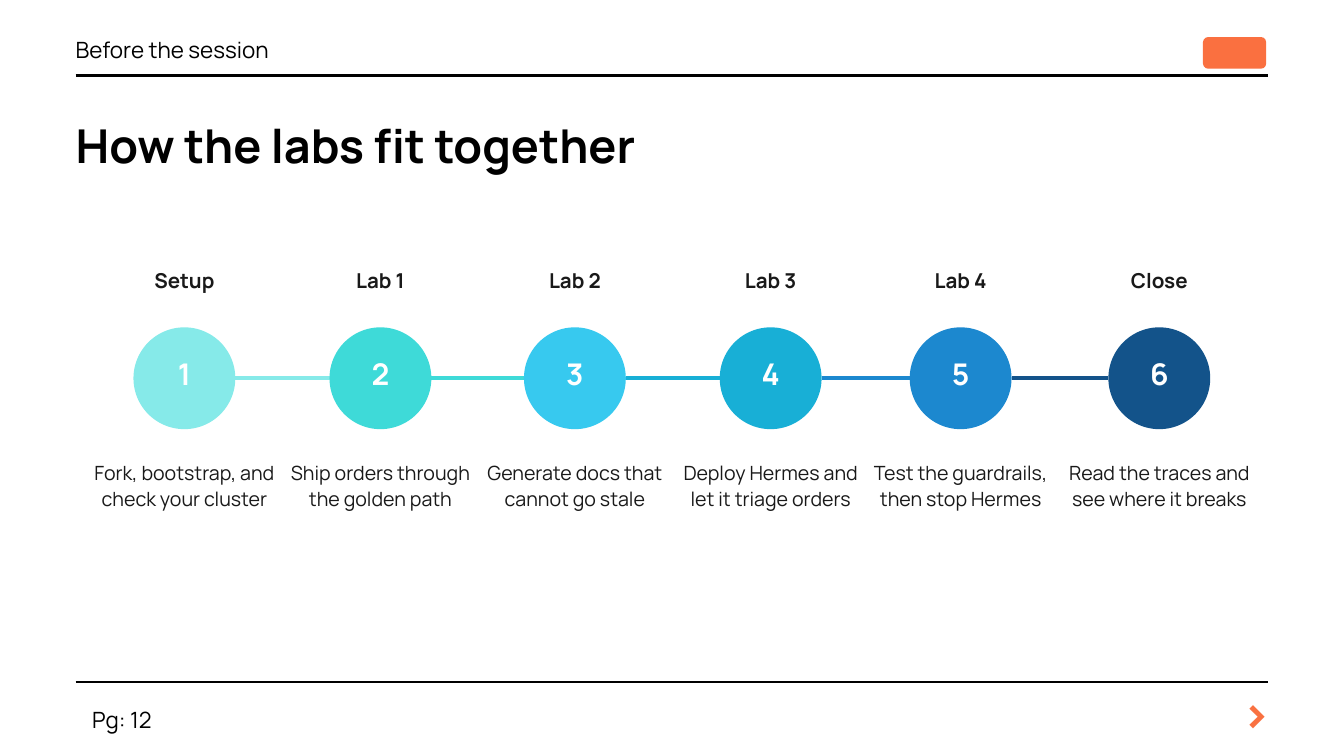
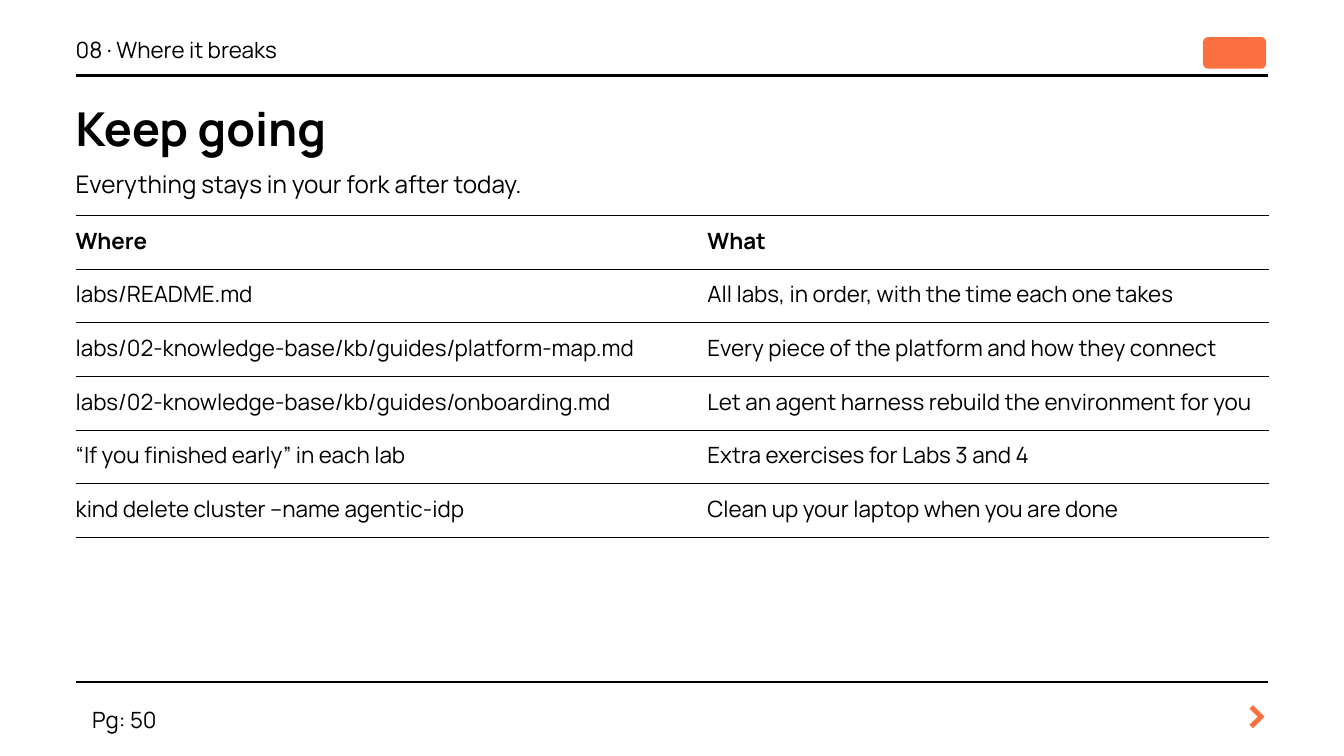
from dataclasses import dataclass
from itertools import pairwise

from lxml.etree import SubElement
from pptx import Presentation
from pptx.dml.color import RGBColor
from pptx.enum.shapes import MSO_CONNECTOR, MSO_SHAPE
from pptx.enum.text import MSO_ANCHOR as Anchor, MSO_AUTO_SIZE as AutoSize, PP_ALIGN as Align
from pptx.oxml import parse_xml
from pptx.oxml.ns import nsdecls, qn
from pptx.util import Cm, Pt

# Content
LABS = {
    "section": "Before the session",
    "title": "How the labs fit together",
    "page": "Pg: 12",
}
# heading, caption, circle colour, centre in cm
STEPS = [
    ("Setup", "Fork, bootstrap, and check your cluster", "86EAE9", 6.97),
    ("Lab 1", "Ship orders through the golden path", "3EDAD8", 14.38),
    ("Lab 2", "Generate docs that cannot go stale", "37C9EF", 21.73),
    ("Lab 3", "Deploy Hermes and let it triage orders", "18AFD6", 29.13),
    ("Lab 4", "Test the guardrails, then stop Hermes", "1C88CF", 36.31),
    ("Close", "Read the traces and see where it breaks", "13538A", 43.82),
]
LINK_COLOURS = ["86EAE9", "3EDAD8", "18AFD6", "1C88CF", "13538A"]

KEEP_GOING = {
    "section": "08 · Where it breaks",
    "title": "Keep going",
    "page": "Pg: 50",
}
INTRO = "Everything stays in your fork after today."
RESOURCES = [
    ("Where", "What"),
    ("labs/README.md", "All labs, in order, with the time each one takes"),
    ("labs/02-knowledge-base/kb/guides/platform-map.md",
     "Every piece of the platform and how they connect"),
    ("labs/02-knowledge-base/kb/guides/onboarding.md",
     "Let an agent harness rebuild the environment for you"),
    ("“If you finished early” in each lab", "Extra exercises for Labs 3 and 4"),
    ("kind delete cluster --name agentic-idp", "Clean up your laptop when you are done"),
]


# Theme
@dataclass(frozen=True)
class Style:
    size: float
    leading: float
    colour: str = "000000"
    bold: bool = False


@dataclass(frozen=True)
class Theme:
    font: str = "Manrope"
    ink: str = "000000"
    accent: str = "FA7040"
    title: Style = Style(50, 70, bold=True)
    arrow: Style = Style(52, 72.8, "F97141", True)
    small: Style = Style(24, 33.6)
    intro: Style = Style(26, 36.4)
    number: Style = Style(32, 32, "FFFFFF", True)
    heading: Style = Style(22, 28.6, "191919", True)
    caption: Style = Style(21, 28.4, "191919")
    head_cell: Style = Style(24, 30, bold=True)
    cell: Style = Style(24, 30)


THEME = Theme()

# Layout, in cm
SLIDE_W, SLIDE_H = 50.8, 28.58
LEFT, RIGHT = 2.86, 47.94
RULES_Y = (2.86, 25.78)
CIRCLE, CIRCLE_Y = 3.85, 14.3
COLUMN_WIDTHS, ROW_HEIGHT = (23.88, 21.21), 2.03


def box(*lengths):
    return [Cm(length) for length in lengths]


def write(frame, text, style, align=Align.LEFT, anchor=Anchor.TOP):
    frame.word_wrap = True
    frame.auto_size = AutoSize.NONE
    frame.vertical_anchor = anchor
    frame.margin_left = frame.margin_right = frame.margin_top = frame.margin_bottom = 0
    frame.text = text
    format_paragraph(frame.paragraphs[0], style, align)


def format_paragraph(paragraph, style, align=Align.LEFT):
    paragraph.alignment = align
    paragraph.line_spacing = Pt(style.leading)
    paragraph.space_before = Pt(0)
    font = paragraph.font
    font.name, font.size, font.bold = THEME.font, Pt(style.size), style.bold
    font.color.rgb = RGBColor.from_string(style.colour)


def add_label(slide, text, style, place, align=Align.LEFT):
    write(slide.shapes.add_textbox(*box(*place)).text_frame, text, style, align)


def add_rule(slide, start, end, y, colour, width):
    rule = slide.shapes.add_connector(MSO_CONNECTOR.STRAIGHT, *box(start, y, end, y))
    rule.line.color.rgb = RGBColor.from_string(colour)
    rule.line.width = Pt(width)
    SubElement(rule._element.spPr, qn("a:effectLst"))


def add_solid(slide, preset, place, colour):
    solid = slide.shapes.add_shape(preset, *box(*place))
    solid.shadow.inherit = False
    solid.fill.solid()
    solid.fill.fore_color.rgb = RGBColor.from_string(colour)
    solid.line.fill.background()
    return solid


def fill_placeholder(placeholder, text, style, place):
    placeholder.left, placeholder.top, placeholder.width, placeholder.height = box(*place)
    write(placeholder.text_frame, text, style)


def add_framed_slide(deck, layout, content, title_y):
    """Add a slide with the shared title, rules, header and footer."""
    slide = deck.slides.add_slide(deck.slide_layouts[layout])
    for y in RULES_Y:
        add_rule(slide, LEFT, RIGHT, y, THEME.ink, 3)
    fill_placeholder(slide.shapes.title, content["title"], THEME.title,
                     (LEFT, title_y, 41.9, 2.4))
    add_label(slide, content["section"], THEME.small, (LEFT, 1.19, 35.56, 1.12))
    add_label(slide, content["page"], THEME.small, (3.48, 26.52, 4.06, 1.15))
    add_label(slide, ">", THEME.arrow, (46.89, 25.48, 1.04, 2.49), Align.CENTER)
    add_solid(slide, MSO_SHAPE.ROUNDED_RECTANGLE, (45.47, 1.4, 2.39, 1.2), THEME.accent)
    return slide


def build_labs(deck):
    slide = add_framed_slide(deck, 5, LABS, 4.06)

    # Links between neighbouring circles
    centres = [centre for *_, centre in STEPS]
    for (start, end), colour in zip(pairwise(centres), LINK_COLOURS):
        add_rule(slide, start + CIRCLE / 2, end - CIRCLE / 2, CIRCLE_Y, colour, 4.5)

    # Numbered steps
    for number, (heading, caption, colour, centre) in enumerate(STEPS, 1):
        circle = add_solid(slide, MSO_SHAPE.OVAL,
                           (centre - CIRCLE / 2, CIRCLE_Y - CIRCLE / 2, CIRCLE, CIRCLE), colour)
        write(circle.text_frame, str(number), THEME.number, Align.CENTER, Anchor.MIDDLE)
        circle.text_frame.margin_bottom = Cm(0.15)
        for text, style, y, width, height in (
            (heading, THEME.heading, 10.06, 6.68, 1.07),
            (caption, THEME.caption, 17.3, 7.04, 1.88),
        ):
            add_label(slide, text, style, (centre - width / 2, y, width, height), Align.CENTER)


def set_borders(cell):
    """Draw thin lines above and below the cell and none beside it."""
    line = f'<a:solidFill><a:srgbClr val="{THEME.ink}"/></a:solidFill>'
    sides = {"lnL": "<a:noFill/>", "lnR": "<a:noFill/>", "lnT": line, "lnB": line}
    properties = cell._tc.get_or_add_tcPr()
    for position, (side, paint) in enumerate(sides.items()):
        properties.insert(position, parse_xml(
            f'<a:{side} {nsdecls("a")} w="{Pt(0.5)}">{paint}</a:{side}>'))


def build_keep_going(deck):
    slide = add_framed_slide(deck, 1, KEEP_GOING, 3.43)

    # Introduction
    intro = slide.placeholders[1]
    fill_placeholder(intro, INTRO, THEME.intro, (LEFT, 6.22, 43.18, 1.8))
    properties = intro.text_frame.paragraphs[0]._p.get_or_add_pPr()
    properties.set("marL", "0")
    properties.set("indent", "0")
    properties.insert_element_before(
        parse_xml(f'<a:buNone {nsdecls("a")}/>'), "a:tabLst", "a:defRPr", "a:extLst")

    # Resources
    table = slide.shapes.add_table(
        len(RESOURCES), len(COLUMN_WIDTHS),
        *box(LEFT, 8.13, sum(COLUMN_WIDTHS), ROW_HEIGHT * len(RESOURCES))).table
    table.first_row = table.horz_banding = False
    for column, width in zip(table.columns, COLUMN_WIDTHS):
        column.width = Cm(width)
    for row, entries in enumerate(RESOURCES):
        table.rows[row].height = Cm(ROW_HEIGHT)
        for column, text in enumerate(entries):
            cell = table.cell(row, column)
            cell.text = text
            cell.vertical_anchor = Anchor.MIDDLE
            cell.margin_left = cell.margin_top = cell.margin_bottom = 0
            cell.margin_right = Cm(0.5)
            cell.fill.background()
            set_borders(cell)
            format_paragraph(cell.text_frame.paragraphs[0],
                             THEME.cell if row else THEME.head_cell)


def main():
    deck = Presentation()
    deck.slide_width, deck.slide_height = box(SLIDE_W, SLIDE_H)
    build_labs(deck)
    build_keep_going(deck)
    deck.save("out.pptx")


if __name__ == "__main__":
    main()
